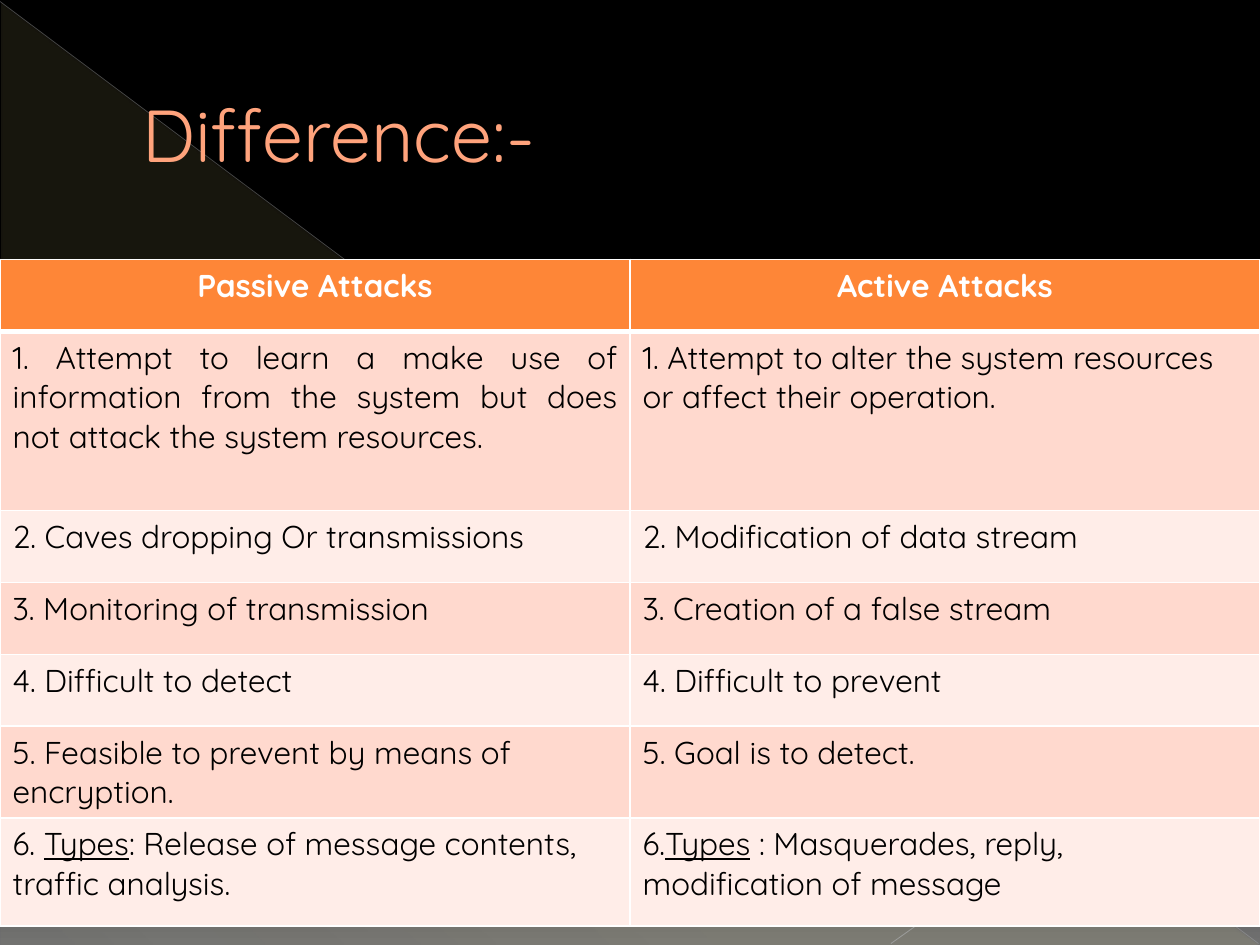
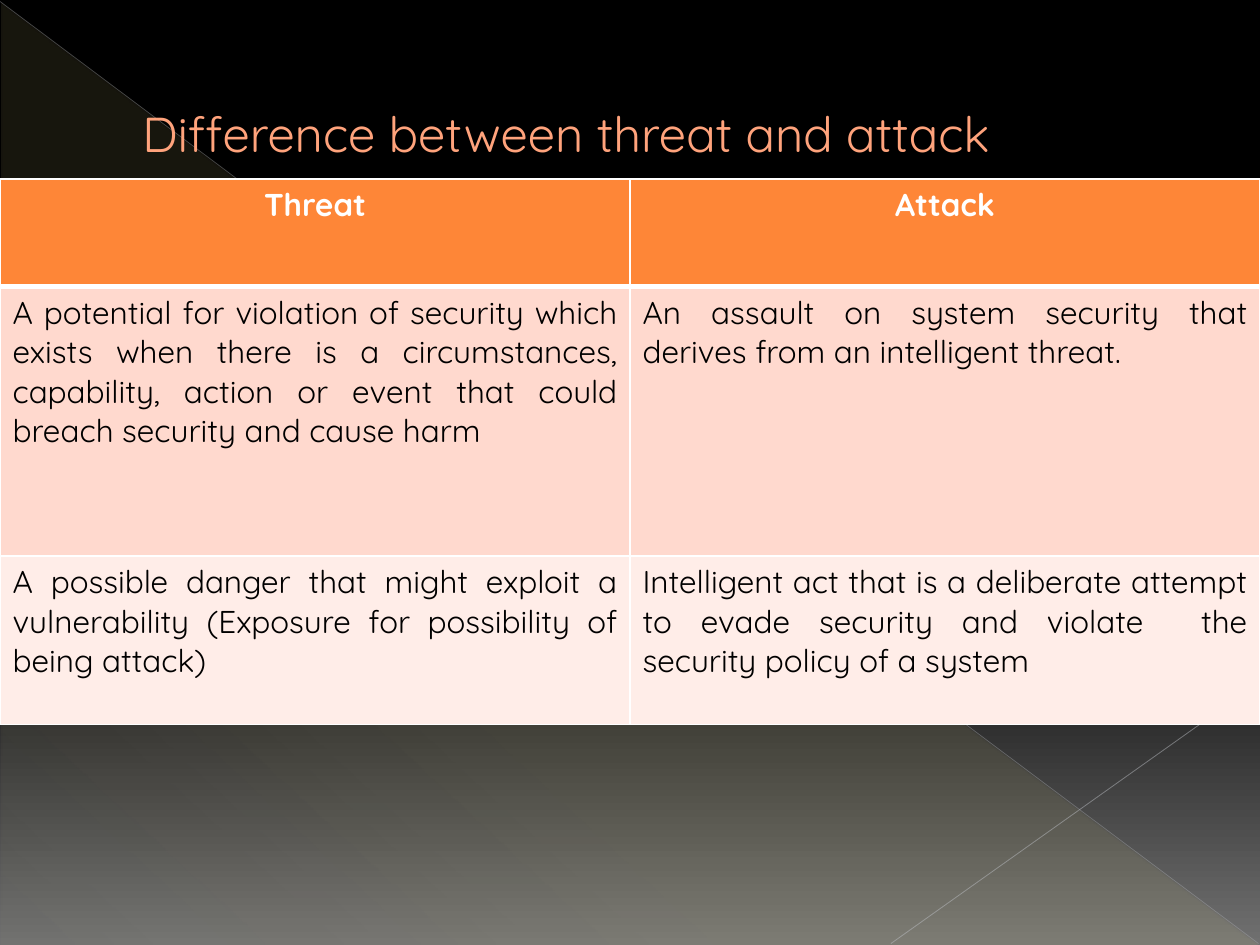
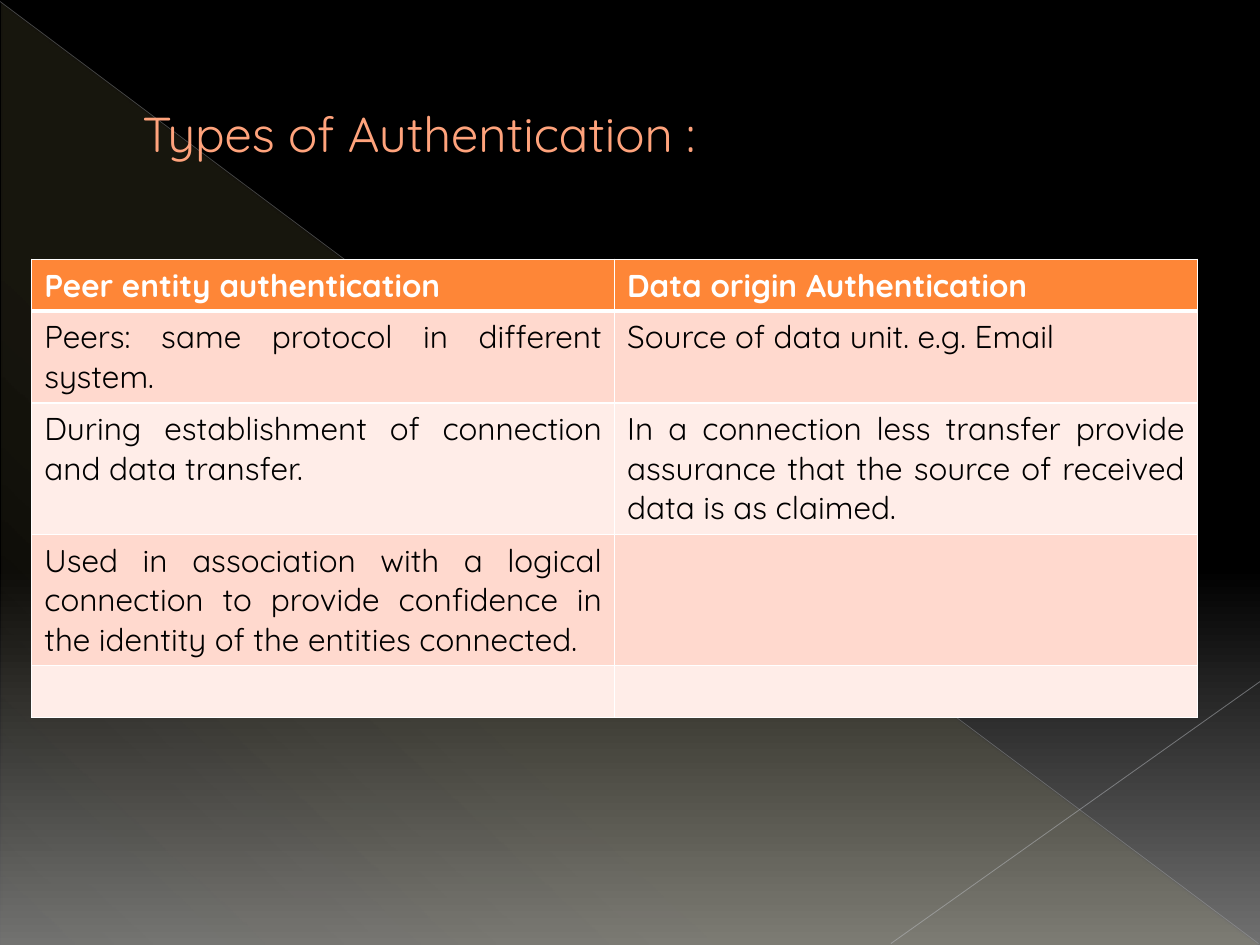
import itertools
from dataclasses import dataclass

import lxml.etree
import pptx
import pptx.dml.color
import pptx.enum.shapes
import pptx.enum.text
import pptx.oxml.ns
import pptx.util

Cm, Pt = pptx.util.Cm, pptx.util.Pt
RGB = pptx.dml.color.RGBColor.from_string
ALIGN = pptx.enum.text.PP_ALIGN
qn = pptx.oxml.ns.qn


@dataclass(frozen=True)
class Theme:
    font: str = "Quicksand"
    title: str = "FFA37C"
    title_outline: str = "B05D26"
    header: str = "FE8637"
    header_text: str = "FFFFFF"
    body_text: str = "000000"
    bands: tuple = ("FFD9CE", "FFEDE8")
    border: str = "FFFFFF"
    border_pt: float = 1
    header_rule_pt: float = 3
    table_size: float = 18
    # gradient stops: position %, colour, opacity %
    backdrop: tuple = ((0, "000000", 100), (60, "000000", 100), (100, "707070", 100))
    wedge: tuple = ((0, "FFF39D", 10), (70, "FFF39D", 8), (100, "FFF39D", 1))


THEME = Theme()
WIDTH, HEIGHT = 25.4, 19.05

# start, end (cm), colour, width (pt), opacity %
DIAGONALS = [
    ((0, 0.03), (25.37, 19.02), "BABDC4", 0.39, 35),
    ((25.4, 13.74), (17.96, 19.02), "C1C4CA", 0.47, 45),
]

# Underscores enclose underlined words; "justified" lists (row, column) cells.
SLIDES = [
    {
        "title": "Difference:-", "title_size": 42,
        "left": 0, "top": 5.23, "width": 25.4,
        "heights": [1.45, 3.61, 1.45, 1.45, 1.45, 1.85, 2.18],
        "header_align": ALIGN.CENTER, "justified": [(1, 0)],
        "rows": [
            ("Passive Attacks", "Active Attacks"),
            ("1. Attempt to learn a make use of information from the system but does not attack the system resources.",
             "1. Attempt to alter the system resources or affect their operation."),
            ("2. Caves dropping Or transmissions", "2. Modification of data stream"),
            ("3. Monitoring of transmission", "3. Creation of a false stream"),
            ("4. Difficult to detect", "4. Difficult to prevent"),
            ("5. Feasible to prevent by means of encryption.", "5. Goal is to detect."),
            ("6. _Types_: Release of message contents, traffic analysis.",
             "6._Types_ : Masquerades, reply, modification of message"),
        ],
    },
    {
        "title": "Difference between threat and attack", "title_size": 28,
        "left": 0, "top": 3.61, "width": 25.4,
        "heights": [2.16, 5.44, 3.4],
        "header_align": ALIGN.CENTER,
        "justified": list(itertools.product((1, 2), (0, 1))),
        "rows": [
            ("Threat", "Attack"),
            ("A potential for violation of security which exists when there is a circumstances, capability, "
             "action or event that could breach security and cause harm",
             "An assault on system security that derives from an intelligent threat."),
            ("A possible danger that might exploit a vulnerability (Exposure for possibility of being attack)",
             "Intelligent act that is a deliberate attempt to evade security and violate  the security policy "
             "of a system"),
        ],
    },
    {
        "title": "Types of Authentication :", "title_size": 28,
        "left": 0.64, "top": 5.23, "width": 23.5,
        "heights": [1.04, 1.85, 2.65, 2.65, 1.04],
        "header_align": ALIGN.LEFT,
        "justified": [(1, 0), (2, 0), (2, 1), (3, 0)],
        "rows": [
            ("Peer entity authentication", "Data origin Authentication"),
            ("Peers: same protocol in different system.", "Source of data unit. e.g. Email"),
            ("During establishment of connection and data transfer.",
             "In a connection less transfer provide assurance that the source of received data is as claimed."),
            ("Used in association with a logical connection to provide confidence in the identity of the "
             "entities connected.", ""),
            ("", ""),
        ],
    },
]


def add_color(parent, color, opacity=100):
    clr = lxml.etree.SubElement(parent, qn("a:srgbClr"), val=color)
    if opacity < 100:
        lxml.etree.SubElement(clr, qn("a:alpha"), val=str(opacity * 1000))


def set_gradient(fill, stops, angle):
    """Give a fill any number of stops; the angle runs clockwise in degrees."""
    fill.gradient()
    fill.gradient_angle = 360 - angle
    gs_list = fill.gradient_stops[0]._gs.getparent()
    for gs in list(gs_list):
        gs_list.remove(gs)
    for position, color, opacity in stops:
        gs = lxml.etree.SubElement(gs_list, qn("a:gs"), pos=str(position * 1000))
        add_color(gs, color, opacity)


def make_line(tag, color, width):
    ln = lxml.etree.Element(qn(tag), w=str(int(Pt(width))))
    add_color(lxml.etree.SubElement(ln, qn("a:solidFill")), color)
    return ln


def style_run(r, size, color, bold=False):
    r.font.name = THEME.font
    r.font.size = Pt(size)
    r.font.bold = bold
    r.font.color.rgb = RGB(color)


def add_decor(slide):
    sp = slide.shapes.add_shape(pptx.enum.shapes.MSO_SHAPE.RIGHT_TRIANGLE,
                                Cm(0.03), Cm(0.05), Cm(25.35), Cm(19))
    sp.shadow.inherit = False
    sp.line.fill.background()
    set_gradient(sp.fill, THEME.wedge, 133)
    for start, end, color, width, opacity in DIAGONALS:
        line = slide.shapes.add_connector(pptx.enum.shapes.MSO_CONNECTOR.STRAIGHT,
                                          *map(Cm, start + end))
        line.line.width = Pt(width)
        line.line.color.rgb = RGB(color)
        clr = line.line._ln.find(".//" + qn("a:srgbClr"))
        lxml.etree.SubElement(clr, qn("a:alpha"), val=str(opacity * 1000))
        lxml.etree.SubElement(line._element.spPr, qn("a:effectLst"))


def add_title(slide, text, size):
    box = slide.shapes.add_textbox(Cm(1.27), Cm(0.74), Cm(22.86), Cm(3.89))
    tf = box.text_frame
    tf.word_wrap = True
    tf.vertical_anchor = pptx.enum.text.MSO_ANCHOR.MIDDLE
    tf.text = text
    p = tf.paragraphs[0]
    p._p.get_or_add_pPr().set("marL", str(int(Cm(1.35))))
    r = p.runs[0]
    style_run(r, size, THEME.title)
    r.font._element.insert(0, make_line("a:ln", THEME.title_outline, 0.5))


def set_borders(cell, row):
    top = THEME.header_rule_pt if row == 1 else THEME.border_pt
    bottom = THEME.header_rule_pt if row == 0 else THEME.border_pt
    widths = {"a:lnL": THEME.border_pt, "a:lnR": THEME.border_pt, "a:lnT": top, "a:lnB": bottom}
    tc_pr = cell._tc.get_or_add_tcPr()
    for i, (tag, width) in enumerate(widths.items()):
        tc_pr.insert(i, make_line(tag, THEME.border, width))


def fill_cell(cell, text, row, align):
    is_header = row == 0
    cell.fill.solid()
    cell.fill.fore_color.rgb = RGB(THEME.header if is_header else THEME.bands[(row - 1) % 2])
    set_borders(cell, row)
    p = cell.text_frame.paragraphs[0]
    p.alignment = align
    p.font.size = Pt(THEME.table_size)
    for i, part in enumerate(text.split("_")):
        if part:
            r = p.add_run()
            r.text = part
            style_run(r, THEME.table_size, THEME.header_text if is_header else THEME.body_text, is_header)
            if i % 2:
                r.font.underline = True


def add_comparison(slide, data):
    rows, heights = data["rows"], data["heights"]
    columns = len(rows[0])
    table = slide.shapes.add_table(len(rows), columns, Cm(data["left"]), Cm(data["top"]),
                                   Cm(data["width"]), Cm(sum(heights))).table
    table.horz_banding = False
    for column in table.columns:
        column.width = Cm(data["width"] / columns)
    for i, (texts, height) in enumerate(zip(rows, heights)):
        table.rows[i].height = Cm(height)
        for j, text in enumerate(texts):
            body_align = ALIGN.JUSTIFY if (i, j) in data["justified"] else ALIGN.LEFT
            fill_cell(table.cell(i, j), text, i, data["header_align"] if i == 0 else body_align)


def main():
    prs = pptx.Presentation()
    prs.slide_width, prs.slide_height = Cm(WIDTH), Cm(HEIGHT)
    set_gradient(prs.slide_master.background.fill, THEME.backdrop, 90)
    for data in SLIDES:
        slide = prs.slides.add_slide(prs.slide_layouts[6])
        add_decor(slide)
        add_title(slide, data["title"], data["title_size"])
        add_comparison(slide, data)
    prs.save("out.pptx")


if __name__ == "__main__":
    main()
